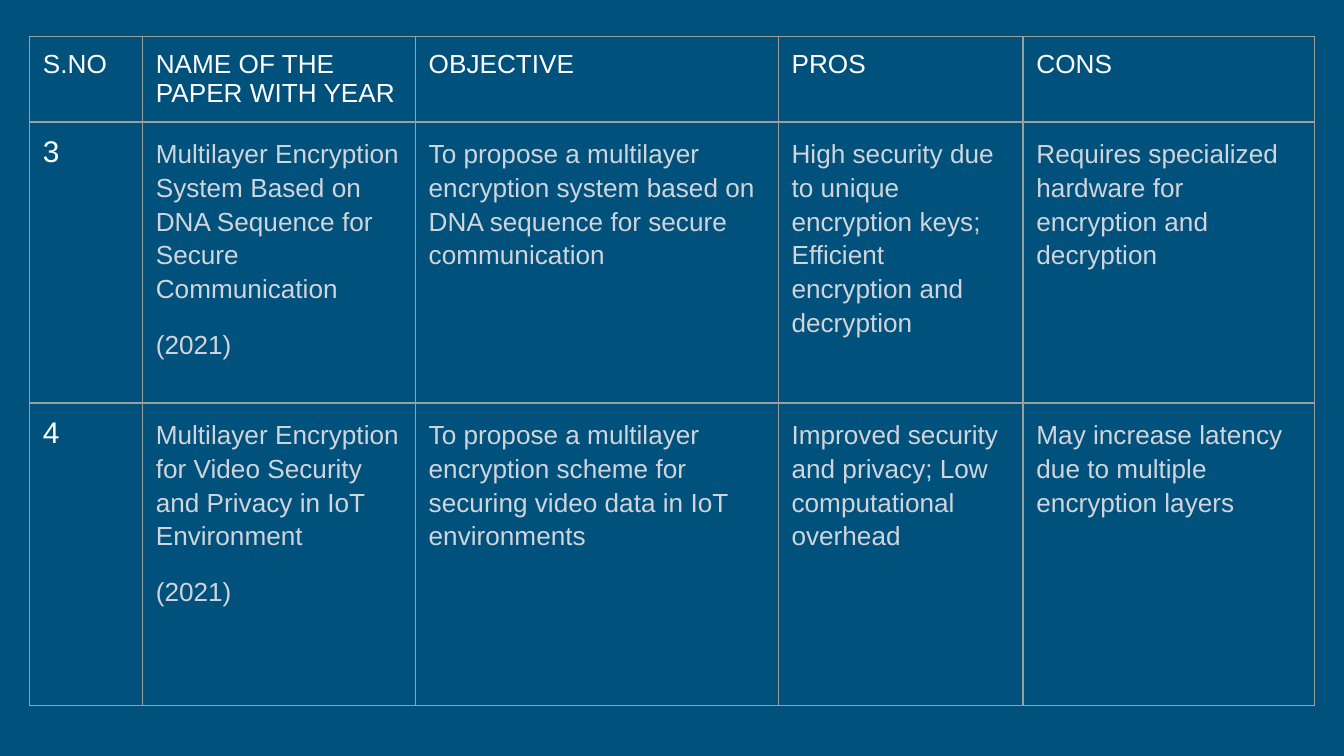
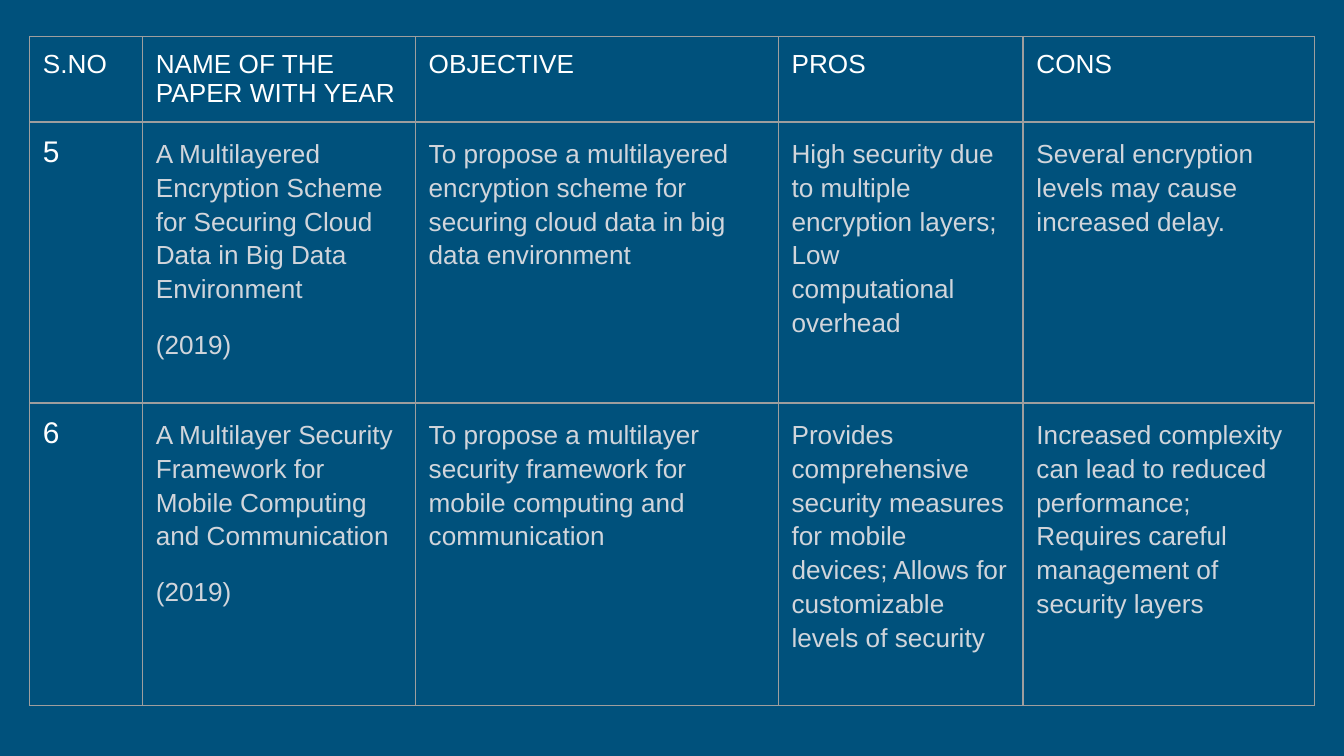
from typing import NamedTuple

from lxml.etree import SubElement
from pptx import Presentation
from pptx.dml.color import RGBColor
from pptx.oxml.ns import qn
from pptx.slide import Slide
from pptx.table import _Cell as Cell
from pptx.util import Pt

BACKGROUND = "00517C"
BORDER = "9E9E9E"
WHITE = "FFFFFF"
PALE_GREY = "D1D5DB"

TABLE_LEFT, TABLE_TOP = 15.8, 19.5
COLUMN_WIDTHS = (60.5, 146.2, 194.4, 131.2, 156.2)
ROW_HEIGHTS = (45.5, 150.5, 162.3)
HEADINGS = ("S.NO", "NAME OF THE PAPER WITH YEAR", "OBJECTIVE", "PROS", "CONS")
CELL_FORMAT = {
    f"margin_{side}": Pt(7.2) for side in ("left", "right", "top", "bottom")
}


class TextStyle(NamedTuple):
    size: float
    colour: str
    line_spacing: float = 1.0


HEADING = TextStyle(14, WHITE)
NUMBER = TextStyle(16, WHITE)
BODY = TextStyle(14, PALE_GREY, 1.15)


class Paper(NamedTuple):
    number: int
    title: str
    year: int
    objective: str
    pros: str
    cons: str


SURVEY_PAGES = (
    (
        Paper(
            3,
            "Multilayer Encryption System Based on DNA Sequence for Secure Communication",
            2021,
            "To propose a multilayer encryption system based on DNA sequence for secure communication",
            "High security due to unique encryption keys; Efficient encryption and decryption",
            "Requires specialized hardware for encryption and decryption",
        ),
        Paper(
            4,
            "Multilayer Encryption for Video Security and Privacy in IoT Environment",
            2021,
            "To propose a multilayer encryption scheme for securing video data in IoT environments",
            "Improved security and privacy; Low computational overhead",
            "May increase latency due to multiple encryption layers",
        ),
    ),
    (
        Paper(
            5,
            "A Multilayered Encryption Scheme for Securing Cloud Data in Big Data Environment",
            2019,
            "To propose a multilayered encryption scheme for securing cloud data in big data environment",
            "High security due to multiple encryption layers; Low computational overhead",
            "Several encryption levels may cause increased delay.",
        ),
        Paper(
            6,
            "A Multilayer Security Framework for Mobile Computing and Communication",
            2019,
            "To propose a multilayer security framework for mobile computing and communication",
            "Provides comprehensive security measures for mobile devices; Allows for customizable levels of security",
            "Increased complexity can lead to reduced performance; Requires careful management of security layers",
        ),
    ),
)


def rgb(colour: str) -> RGBColor:
    return RGBColor.from_string(colour)


def draw_borders(cell: Cell) -> None:
    properties = cell._tc.get_or_add_tcPr()
    for edge in ("lnL", "lnR", "lnT", "lnB"):
        line = SubElement(properties, qn(f"a:{edge}"), w=str(Pt(0.75)))
        fill = SubElement(line, qn("a:solidFill"))
        SubElement(fill, qn("a:srgbClr"), val=BORDER)


def fill_cell(cell: Cell, paragraphs: tuple[str, ...], style: TextStyle) -> None:
    for name, value in CELL_FORMAT.items():
        setattr(cell, name, value)
    draw_borders(cell)
    cell.fill.background()

    font_format = {"name": "Arial", "size": Pt(style.size), "bold": False}
    frame = cell.text_frame
    for index, text in enumerate(paragraphs):
        paragraph = frame.add_paragraph() if index else frame.paragraphs[0]
        paragraph.line_spacing = style.line_spacing
        paragraph.space_before = Pt(12 if index else 0)
        run = paragraph.add_run()
        run.text = text
        for name, value in font_format.items():
            setattr(run.font, name, value)
        run.font.color.rgb = rgb(style.colour)


def add_survey_table(slide: Slide, papers: tuple[Paper, ...]) -> None:
    table = slide.shapes.add_table(
        len(ROW_HEIGHTS), len(COLUMN_WIDTHS), Pt(TABLE_LEFT), Pt(TABLE_TOP),
        Pt(sum(COLUMN_WIDTHS)), Pt(sum(ROW_HEIGHTS)),
    ).table
    table.first_row = table.horz_banding = False
    for column, width in zip(table.columns, COLUMN_WIDTHS):
        column.width = Pt(width)
    for row, height in zip(table.rows, ROW_HEIGHTS):
        row.height = Pt(height)

    for cell, heading in zip(table.rows[0].cells, HEADINGS):
        fill_cell(cell, (heading,), HEADING)
    for row_index, paper in enumerate(papers, start=1):
        entries = (
            (str(paper.number),),
            (paper.title, f"({paper.year})"),
            (paper.objective,),
            (paper.pros,),
            (paper.cons,),
        )
        for column_index, paragraphs in enumerate(entries):
            style = BODY if column_index else NUMBER
            fill_cell(table.cell(row_index, column_index), paragraphs, style)


def main() -> None:
    deck = Presentation()
    deck.slide_width, deck.slide_height = Pt(720), Pt(405)
    blank_layout = deck.slide_layouts[6]
    for papers in SURVEY_PAGES:
        slide = deck.slides.add_slide(blank_layout)
        slide.background.fill.solid()
        slide.background.fill.fore_color.rgb = rgb(BACKGROUND)
        add_survey_table(slide, papers)
    deck.save("out.pptx")


if __name__ == "__main__":
    main()
